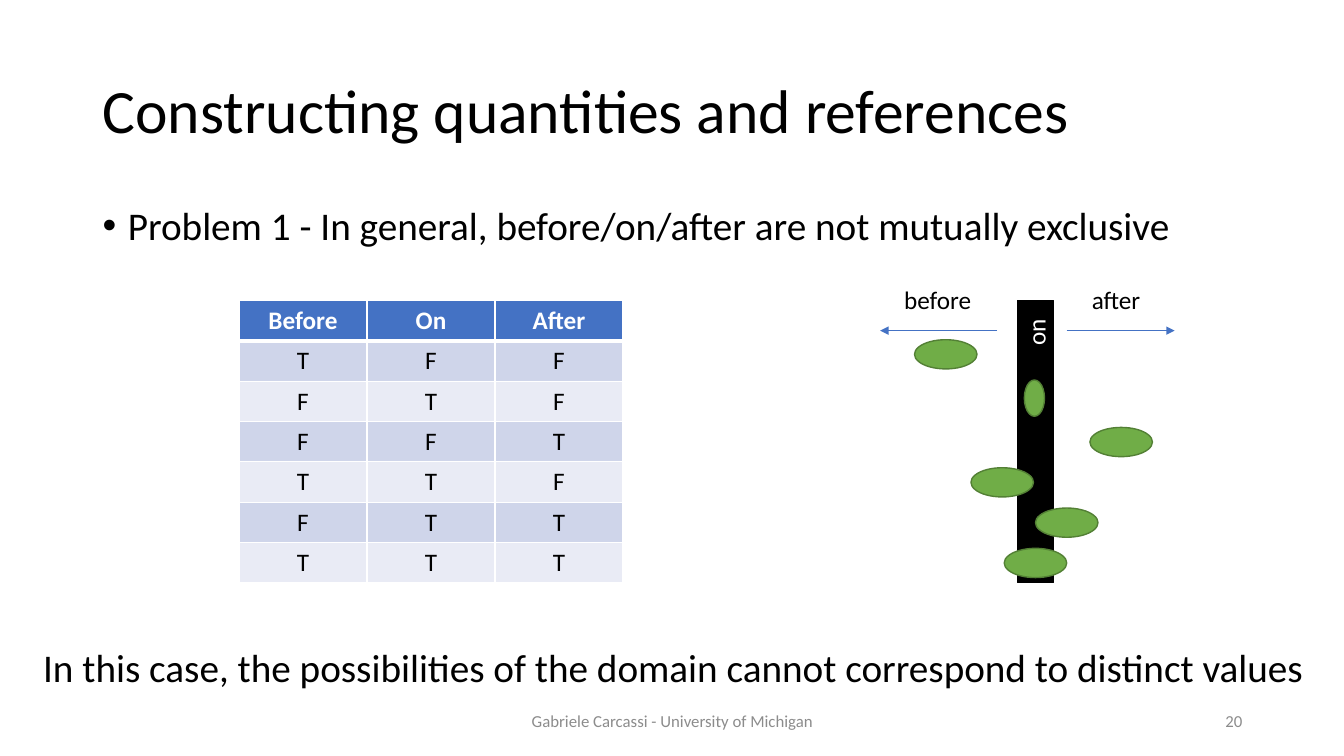
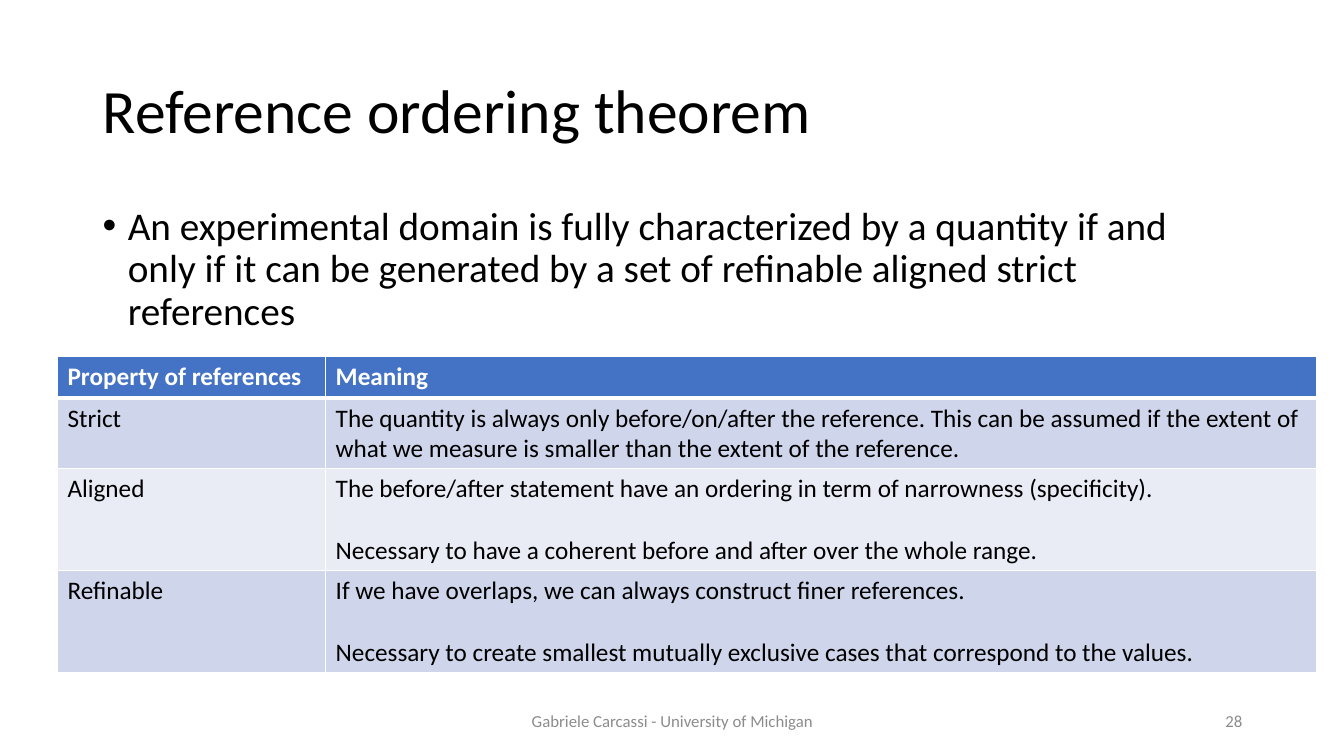
from dataclasses import dataclass
from typing import Any

from lxml.etree import SubElement
from pptx import Presentation
from pptx.dml.color import RGBColor
from pptx.enum.shapes import MSO_CONNECTOR as Connector, MSO_SHAPE as Preset
from pptx.enum.text import MSO_ANCHOR as Anchor, PP_ALIGN as Align
from pptx.oxml.ns import qn
from pptx.slide import Slide
from pptx.util import Inches, Length, Pt

FONT = "Calibri"
BLACK, WHITE, GRAY = "000000", "FFFFFF", "8C8C8C"
BLUE, GREEN, DARK_GREEN = "4472C4", "70AD47", "538035"
BANDS = ("CFD5EA", "E9EBF5")
FOOTER = "Gabriele Carcassi - University of Michigan"
BLANK_LINE = Pt(22)
NO_MARGINS = dict.fromkeys(("margin_left", "margin_right", "margin_top", "margin_bottom"), 0)


@dataclass(frozen=True)
class Box:
    left: float
    top: float
    width: float = 0.62
    height: float = 0.29

    def lengths(self) -> tuple[Length, ...]:
        return tuple(Inches(v) for v in (self.left, self.top, self.width, self.height))


@dataclass(frozen=True)
class TextStyle:
    size: float
    color: str = BLACK
    bold: bool = False
    align: Align = Align.LEFT
    line_spacing: float = 1.0


@dataclass(frozen=True)
class Direction:
    label: str
    label_box: Box
    start: float
    end: float


TITLE = TextStyle(44, line_spacing=0.9)
BULLET = TextStyle(28, line_spacing=0.9)
CONCLUSION = TextStyle(28)
LABEL = TextStyle(18)
REFERENCE_LABEL = TextStyle(18, WHITE, align=Align.CENTER)
FOOTER_STYLE = TextStyle(12, GRAY, align=Align.CENTER)
NUMBER_STYLE = TextStyle(12, GRAY, align=Align.RIGHT)

TITLE_BOX = Box(0.92, 0.4, 11.5, 1.45)
BODY_BOX = Box(0.92, 2, 11.5, 4.76)
FOOTER_BOX = Box(4.42, 6.95, 4.5, 0.4)
NUMBER_BOX = Box(9.42, 6.95, 3, 0.4)

TRUTH_ROWS = ("TFF", "FTF", "FFT", "TTF", "FTT", "TTT")
REFERENCE = Box(10.09, 2.98, 0.36, 2.8)
REFERENCE_LABEL_BOX = Box(10.09, 2.98, 0.36, 0.64)
ARROW_Y = 3.28
DIRECTIONS = (
    Direction("before", Box(8.87, 2.77, 0.87, 0.4), 9.89, 8.73),
    Direction("after", Box(10.73, 2.77, 0.69, 0.4), 10.58, 11.65),
)
OVERLAP_LEFTS = (10.81, 9.63, 10.27, 9.96)
EXTENTS = (
    Box(9.07, 3.37),
    Box(10.16, 3.77, 0.2, 0.36),
    *(Box(left, 4.24 + 0.4 * i) for i, left in enumerate(OVERLAP_LEFTS)),
)

PROPERTIES = (
    ("Property of references", "Meaning"),
    ("Strict", "The quantity is always only before/on/after the reference. This can be "
               "assumed if the extent of what we measure is smaller than the extent of the reference."),
    ("Aligned", "The before/after statement have an ordering in term of narrowness (specificity).\n"
                "Necessary to have a coherent before and after over the whole range."),
    ("Refinable", "If we have overlaps, we can always construct finer references.\n"
                  "Necessary to create smallest mutually exclusive cases that correspond to the values."),
)


def rgb(color: str) -> RGBColor:
    return RGBColor.from_string(color)


def set_all(target: Any, values: dict[str, Any]) -> None:
    for name, value in values.items():
        setattr(target, name, value)


def write(frame: Any, text: str, style: TextStyle, bullet: bool = False) -> None:
    frame.text = text
    for i, paragraph in enumerate(frame.paragraphs):
        if bullet:
            props = paragraph._p.get_or_add_pPr()
            props.set("marL", str(Inches(0.25)))
            props.set("indent", str(-Inches(0.25)))
            SubElement(props, qn("a:buFont"), typeface="Arial")
            SubElement(props, qn("a:buChar"), char="•")
        set_all(paragraph, {"alignment": style.align, "line_spacing": style.line_spacing})
        if i:
            paragraph.space_before = BLANK_LINE
        set_all(paragraph.font, {"name": FONT, "size": Pt(style.size), "bold": style.bold})
        paragraph.font.color.rgb = rgb(style.color)


def add_text(slide: Slide, box: Box, text: str, style: TextStyle, *,
             bullet: bool = False, **frame_format: Any) -> Any:
    frame = slide.shapes.add_textbox(*box.lengths()).text_frame
    set_all(frame, {"word_wrap": True, "vertical_anchor": Anchor.TOP} | frame_format)
    write(frame, text, style, bullet)
    return frame


def add_filled(slide: Slide, preset: Preset, box: Box, fill: str, line: str) -> None:
    shape = slide.shapes.add_shape(preset, *box.lengths())
    shape.shadow.inherit = False
    shape.fill.solid()
    shape.fill.fore_color.rgb = rgb(fill)
    shape.line.color.rgb = rgb(line)
    shape.line.width = Pt(1)


def add_arrow(slide: Slide, start: float, end: float, y: float) -> None:
    arrow = slide.shapes.add_connector(
        Connector.STRAIGHT, Inches(start), Inches(y), Inches(end), Inches(y))
    arrow.line.color.rgb = rgb(BLUE)
    arrow.line.width = Pt(0.5)
    SubElement(arrow.line._get_or_add_ln(), qn("a:tailEnd"), type="triangle")
    SubElement(arrow._element.spPr, qn("a:effectLst"))


def add_borders(cell: Any, widths: dict[str, float]) -> None:
    props = cell._tc.get_or_add_tcPr()
    for side, width in widths.items():
        border = SubElement(props, qn(f"a:ln{side}"), w=str(Pt(width)))
        fill = SubElement(border, qn("a:solidFill"))
        SubElement(fill, qn("a:srgbClr"), val=WHITE)


def add_grid(slide: Slide, left: float, top: float, widths: list[float],
             heights: list[float], rows: list[tuple[str, ...]], align: Align) -> None:
    box = Box(left, top, sum(widths), sum(heights))
    table = slide.shapes.add_table(len(rows), len(widths), *box.lengths()).table
    for column, width in zip(table.columns, widths):
        column.width = Inches(width)
    for r, (row, height) in enumerate(zip(rows, heights)):
        table.rows[r].height = Inches(height)
        header = r == 0
        style = TextStyle(18, WHITE if header else BLACK, header, align)
        for c, text in enumerate(row):
            cell = table.cell(r, c)
            add_borders(cell, {"L": 1, "R": 1, "T": 3 if r == 1 else 1, "B": 3 if header else 1})
            cell.fill.solid()
            cell.fill.fore_color.rgb = rgb(BLUE if header else BANDS[(r - 1) % 2])
            write(cell.text_frame, text, style)


def add_content_slide(deck: Any, title: str, statement: str, number: int) -> Slide:
    slide = deck.slides.add_slide(deck.slide_layouts[6])
    add_text(slide, TITLE_BOX, title, TITLE, vertical_anchor=Anchor.MIDDLE)
    add_text(slide, BODY_BOX, statement, BULLET, bullet=True)
    add_text(slide, FOOTER_BOX, FOOTER, FOOTER_STYLE, vertical_anchor=Anchor.MIDDLE)
    add_text(slide, NUMBER_BOX, str(number), NUMBER_STYLE, vertical_anchor=Anchor.MIDDLE)
    return slide


def build_quantities(deck: Any) -> None:
    slide = add_content_slide(
        deck, "Constructing quantities and references",
        "Problem 1 - In general, before/on/after are not mutually exclusive", 20)
    truth_table = [("Before", "On", "After"), *(tuple(row) for row in TRUTH_ROWS)]
    add_grid(slide, 2.37, 2.98, [1.27] * 3, [0.4] * len(truth_table), truth_table, Align.CENTER)
    add_filled(slide, Preset.RECTANGLE, REFERENCE, BLACK, BLACK)
    on_label = add_text(slide, REFERENCE_LABEL_BOX, "on", REFERENCE_LABEL,
                        vertical_anchor=Anchor.MIDDLE, **NO_MARGINS)
    on_label._txBody.bodyPr.set("vert", "vert270")
    for direction in DIRECTIONS:
        add_arrow(slide, direction.start, direction.end, ARROW_Y)
        add_text(slide, direction.label_box, direction.label, LABEL, word_wrap=False)
    for extent in EXTENTS:
        add_filled(slide, Preset.OVAL, extent, GREEN, DARK_GREEN)
    add_text(slide, Box(0.33, 6.33, 12.94, 0.57),
             "In this case, the possibilities of the domain cannot correspond to distinct values",
             CONCLUSION, word_wrap=False)


def build_theorem(deck: Any) -> None:
    slide = add_content_slide(
        deck, "Reference ordering theorem",
        "An experimental domain is fully characterized by a quantity if and only if it can be "
        "generated by a set of refinable aligned strict references", 28)
    add_grid(slide, 0.57, 3.54, [2.66, 9.83], [0.41, 0.7, 1.01, 1.01], list(PROPERTIES), Align.LEFT)


def main() -> None:
    deck = Presentation()
    set_all(deck, {"slide_width": Inches(13.33), "slide_height": Inches(7.5)})
    build_quantities(deck)
    build_theorem(deck)
    deck.save("out.pptx")


if __name__ == "__main__":
    main()
